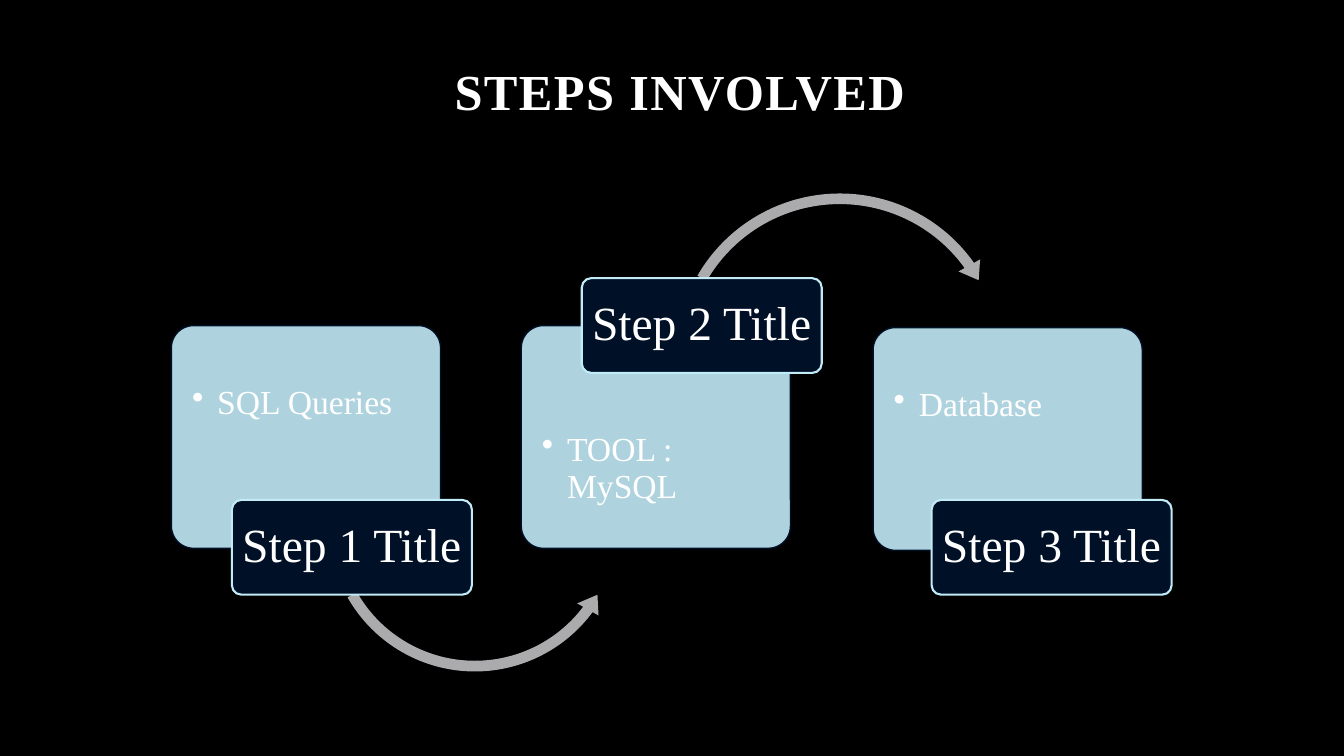
from dataclasses import dataclass
from typing import Optional

from lxml.etree import SubElement
from pptx import Presentation
from pptx.dml.color import RGBColor
from pptx.enum.shapes import MSO_SHAPE
from pptx.enum.text import MSO_ANCHOR, MSO_AUTO_SIZE, PP_ALIGN
from pptx.oxml.ns import qn
from pptx.util import Inches, Pt

FONT = "Times New Roman"
BLACK, WHITE, NAVY, ICE, GRAY = "000000", "FFFFFF", "001027", "C1EBF7", "ABABAD"
CARD_W, CARD_H = 2.67, 2.21
LABEL_W, LABEL_H = 2.38, 0.94
LABEL_LEFT, STEP_PITCH = 2.3, 3.47


@dataclass
class Arrow:
    kind: MSO_SHAPE
    left: float
    top: float
    size: float
    adjustments: tuple


@dataclass
class Step:
    detail: str
    card_left: float
    card_top: float
    text_inset: float
    label_top: float
    arrow: Optional[Arrow] = None


STEPS = [
    Step("SQL Queries", 1.7, 3.23, 0.53, 4.96,
         Arrow(MSO_SHAPE.LEFT_CIRCULAR_ARROW, 3.19, 3.69, 3.04,
               (0.035, 4.277, 22.032, 90.245, 0.04))),
    Step("TOOL : MySQL", 5.17, 3.23, 1.0, 2.76,
         Arrow(MSO_SHAPE.CIRCULAR_ARROW, 6.63, 1.85, 3.4,
               (0.031, 3.785, 194.698, 125.994, 0.036))),
    Step("Database", 8.66, 3.25, 0.53, 4.96),
]


def paint(fmt, color: str) -> None:
    fmt.solid()
    fmt.fore_color.rgb = RGBColor.from_string(color)


def add_shape(s, kind, left, top, width, height, *, fill, line=None, line_width=1.0):
    sp = s.shapes.add_shape(kind, Inches(left), Inches(top), Inches(width), Inches(height))
    sp.shadow.inherit = False
    paint(sp.fill, fill)
    if line:
        paint(sp.line.fill, line)
        sp.line.width = Pt(line_width)
    else:
        sp.line.fill.background()
    return sp


def write(sp, text: str, *, size, insets, align=PP_ALIGN.CENTER,
          anchor=MSO_ANCHOR.MIDDLE, bold=False, tracking=0, bullet=False) -> None:
    tf = sp.text_frame
    tf.word_wrap = True
    tf.auto_size = MSO_AUTO_SIZE.NONE
    tf.vertical_anchor = anchor
    tf.margin_left, tf.margin_top, tf.margin_right, tf.margin_bottom = map(Inches, insets)
    p = tf.paragraphs[0]
    p.alignment = align
    p.line_spacing = 0.9
    p.space_before = Pt(0)
    if bullet:
        props = p._p.get_or_add_pPr()
        props.set("marL", str(Inches(0.25)))
        props.set("indent", str(-Inches(0.25)))
        SubElement(props, qn("a:buChar")).set("char", "•")
    r = p.add_run()
    r.text = text
    r.font.name = FONT
    r.font.size = Pt(size)
    r.font.bold = bold
    paint(r.font.fill, WHITE)
    if tracking:
        r._r.get_or_add_rPr().set("spc", str(tracking * 100))


def add_card(s, step: Step) -> None:
    sp = add_shape(s, MSO_SHAPE.ROUNDED_RECTANGLE, step.card_left, step.card_top,
                   CARD_W, CARD_H, fill=ICE, line=NAVY)
    sp.adjustments[0] = 0.1
    color = sp._element.spPr.find(qn("a:solidFill")).find(qn("a:srgbClr"))
    SubElement(color, qn("a:alpha")).set("val", "90000")
    write(sp, step.detail, size=24, insets=(0.14, step.text_inset, 0.14, 0.14),
          align=PP_ALIGN.LEFT, anchor=MSO_ANCHOR.TOP, bullet=True)


def add_arrow(s, arrow: Arrow) -> None:
    sp = add_shape(s, arrow.kind, arrow.left, arrow.top, arrow.size, arrow.size, fill=GRAY)
    for i, value in enumerate(arrow.adjustments):
        sp.adjustments[i] = value


def add_label(s, index: int, top: float) -> None:
    sp = add_shape(s, MSO_SHAPE.ROUNDED_RECTANGLE, LABEL_LEFT + index * STEP_PITCH, top,
                   LABEL_W, LABEL_H, fill=NAVY, line=ICE, line_width=1.5)
    sp.adjustments[0] = 0.1
    write(sp, f"Step {index + 1} Title", size=34, insets=(0.07, 0.05, 0.07, 0.05))


def main() -> None:
    prs = Presentation()
    prs.slide_width, prs.slide_height = Inches(13.33), Inches(7.5)
    s = prs.slides.add_slide(prs.slide_layouts[5])
    paint(s.background.fill, BLACK)

    title = s.shapes.title
    title.left, title.top = Inches(4.08), Inches(0.5)
    title.width, title.height = Inches(5.33), Inches(0.75)
    write(title, "STEPS INVOLVED", size=36, insets=(0.1, 0.05, 0.1, 0.05),
          anchor=MSO_ANCHOR.BOTTOM, bold=True, tracking=1)

    for i, step in enumerate(STEPS):
        add_card(s, step)
        if step.arrow:
            add_arrow(s, step.arrow)
        add_label(s, i, step.label_top)

    prs.save("out.pptx")


if __name__ == "__main__":
    main()
